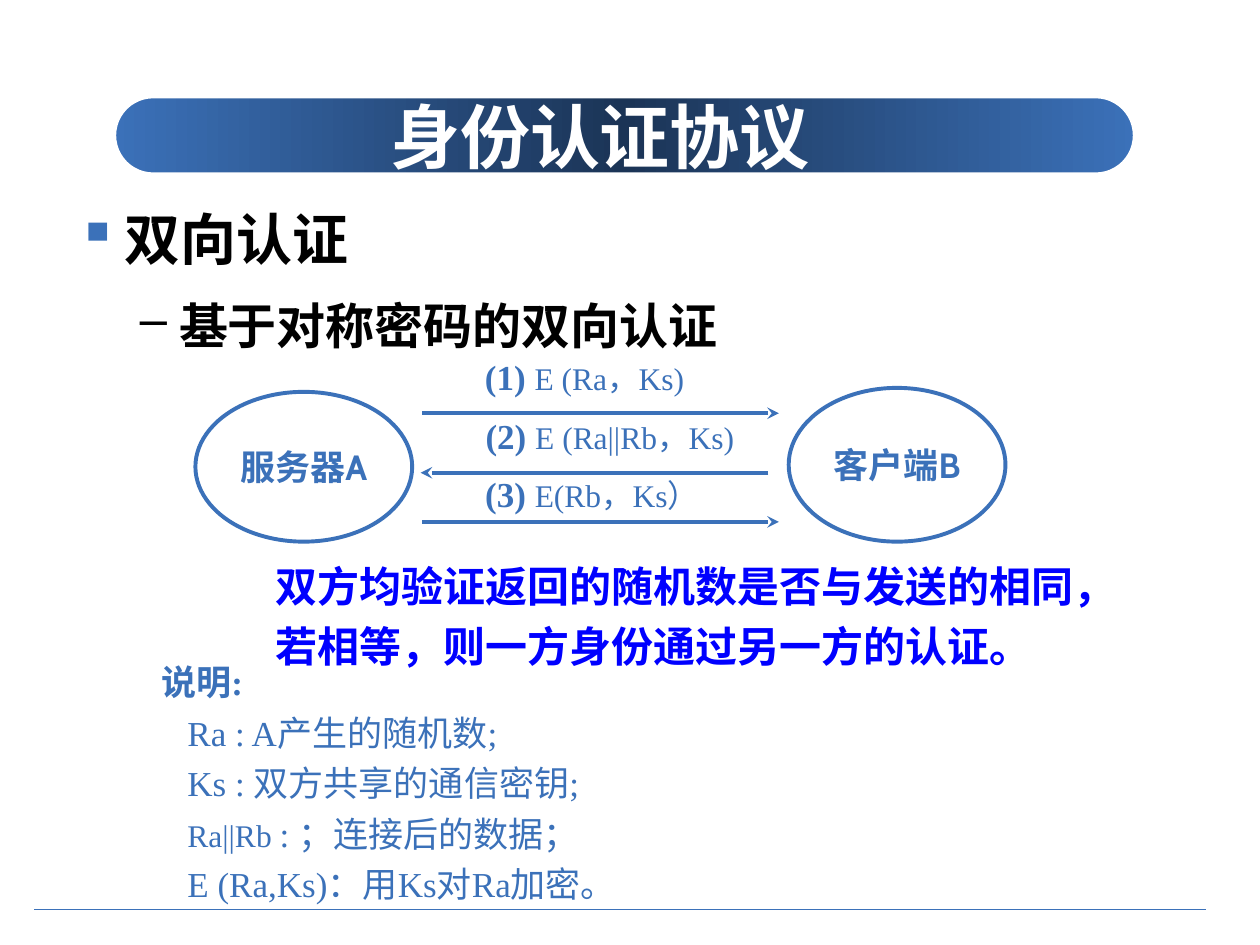
import pptx
import pptx.dml.color
import pptx.enum.shapes
import pptx.enum.text
import pptx.oxml
import pptx.oxml.ns
import pptx.util
import copy
from pptx.util import Cm

COLORS = {"blue": "3B71B9", "navy": "1B3456", "white": "FFFFFF",
          "black": "000000", "accent": "0000FF"}
SERIF = "Times New Roman"
ALIGN = pptx.enum.text.PP_ALIGN
ANCHOR = pptx.enum.text.MSO_ANCHOR
SHAPE = pptx.enum.shapes.MSO_SHAPE

TITLE = "身份认证协议"
OUTLINE = [
    {"text": "双向认证", "size": 32, "bullet": "▪", "color": "blue",
     "margin": 0.97, "hang": 0.97, "before": 0},
    {"text": "基于对称密码的双向认证", "size": 28, "bullet": "–", "color": "black",
     "margin": 2.06, "hang": 0.79, "before": 7},
]
PARTIES = [("服务器A", (3.94, 7.9, 4.37, 3.02)), ("客户端B", (15.9, 7.82, 4.37, 3.1))]
ARROWS = [(8.51, 15.7, 8.33), (15.49, 8.48, 9.53), (8.51, 15.7, 10.52)]
MESSAGES = [
    ("(1) ", "E (Ra，Ks)", (8.89, 7.14, 5.79, 1.02), ALIGN.CENTER),
    ("(2) ", "E (Ra||Rb，Ks)", (8.89, 8.33, 6.81, 1.02), ALIGN.CENTER),
    ("(3) ", "E(Rb，Ks）", (9.53, 9.5, 6.17, 1.02), ALIGN.LEFT),
]
CONCLUSION = "双方均验证返回的随机数是否与发送的相同，若相等，则一方身份通过另一方的认证。"
NOTES_HEADING = "说明:"
NOTES = [
    [("Ra : A产生的随机数;", 20)],
    [("Ks : 双方共享的通信密钥;", 20)],
    [("Ra||Rb ", 18), (": ；连接后的数据；", 20)],
    [("E (Ra,Ks)：用Ks对Ra加密。", 20)],
]


def rgb(name):
    return pptx.dml.color.RGBColor.from_string(COLORS[name])


def add_xml(parent, markup):
    space = pptx.oxml.ns.nsdecls("a")
    tag, rest = markup.split(" ", 1)
    parent.append(pptx.oxml.parse_xml(f"{tag} {space} {rest}"))


def set_font(font, size, color, name=SERIF, bold=True):
    font.size = pptx.util.Pt(size)
    font.name = name
    font.bold = bold
    font.color.rgb = rgb(color)


def add_text_box(page, place):
    frame = page.shapes.add_textbox(*map(Cm, place)).text_frame
    frame.word_wrap = True
    return frame


def add_span(para, text, size=None, bold=None):
    span = para.add_run()
    span.text = text
    if size:
        span.font.size = pptx.util.Pt(size)
    span.font.bold = bold


def add_line(page, start, end, width, arrow=False):
    line = page.shapes.add_connector(
        pptx.enum.shapes.MSO_CONNECTOR.STRAIGHT, *map(Cm, start + end))
    line.line.color.rgb = rgb("blue")
    line.line.width = pptx.util.Pt(width)
    if arrow:
        add_xml(line.line._get_or_add_ln(), '<a:tailEnd type="stealth"/>')
    add_xml(line.element.spPr, "<a:effectLst />")


def add_title(page):
    title = page.shapes.title
    title.left, title.top, title.width, title.height = map(Cm, (6.05, 1.93, 12.09, 1.6))
    frame = title.text_frame
    frame.text = TITLE
    frame.auto_size = pptx.enum.text.MSO_AUTO_SIZE.NONE
    frame.vertical_anchor = ANCHOR.MIDDLE
    para = frame.paragraphs[0]
    para.alignment = ALIGN.CENTER
    set_font(para.font, 40, "white")

    banner = page.shapes.add_shape(
        SHAPE.ROUNDED_RECTANGLE, *map(Cm, (2.29, 1.93, 20.6, 1.6)))
    banner.adjustments[0] = 0.5
    banner.shadow.inherit = False
    banner.line.color.rgb = rgb("white")
    banner.line.width = pptx.util.Pt(3)
    banner.fill.gradient()
    banner.fill.gradient_angle = 0
    stops = banner.element.spPr.find(".//" + pptx.oxml.ns.qn("a:gsLst"))
    stops.insert(1, copy.deepcopy(stops[0]))
    for stop, position, color in zip(
            banner.fill.gradient_stops, (0, 0.5, 1), ("blue", "navy", "blue")):
        stop.position = position
        stop.color.rgb = rgb(color)
    title.element.addprevious(banner.element)


def add_outline(page):
    frame = add_text_box(page, (1.3, 3.73, 22.86, 14.2))
    for index, item in enumerate(OUTLINE):
        para = frame.add_paragraph() if index else frame.paragraphs[0]
        para.text = item["text"]
        para.level = index
        props = para._p.get_or_add_pPr()
        props.set("marL", str(Cm(item["margin"])))
        props.set("indent", str(-Cm(item["hang"])))
        add_xml(props, f'<a:buClr ><a:srgbClr val="{COLORS[item["color"]]}"/></a:buClr>')
        add_xml(props, f'<a:buChar char="{item["bullet"]}"/>')
        para.line_spacing = 1.2
        para.space_before = pptx.util.Pt(item["before"])
        set_font(para.font, item["size"], "black")


def add_exchange(page):
    for name, place in PARTIES:
        party = page.shapes.add_shape(SHAPE.OVAL, *map(Cm, place))
        party.shadow.inherit = False
        party.fill.background()
        party.line.color.rgb = rgb("blue")
        party.line.width = pptx.util.Pt(2.25)
        frame = party.text_frame
        frame.word_wrap = False
        frame.vertical_anchor = ANCHOR.MIDDLE
        para = frame.paragraphs[0]
        para.text = name
        para.alignment = ALIGN.CENTER
        set_font(para.font, 20, "blue", "Cabin")
    for start, end, height in ARROWS:
        add_line(page, (start, height), (end, height), 2.25, arrow=True)
    for number, message, place, alignment in MESSAGES:
        para = add_text_box(page, place).paragraphs[0]
        para.alignment = alignment
        para.line_spacing = 0.9
        set_font(para.font, 20, "blue", bold=None)
        add_span(para, number, bold=True)
        add_span(para, message, 18, False)


def add_explanation(page):
    para = add_text_box(page, (5.31, 10.97, 18.01, 2.69)).paragraphs[0]
    para.text = CONCLUSION
    para.line_spacing = 1.2
    set_font(para.font, 24, "accent", "Noto Sans CJK SC")

    frame = add_text_box(page, (3, 13.03, 18.01, 5.33))
    heading = frame.paragraphs[0]
    heading.text = NOTES_HEADING
    heading.line_spacing = 1.2
    set_font(heading.font, 20, "blue")
    for note in NOTES:
        para = frame.add_paragraph()
        para._p.get_or_add_pPr().set("marL", str(Cm(0.53)))
        para.line_spacing = 1.2
        set_font(para.font, 20, "blue", bold=False)
        for text, size in note:
            add_span(para, text, size)


def main():
    """Build the mutual authentication slide."""
    deck = pptx.Presentation()
    deck.slide_width, deck.slide_height = Cm(25.4), Cm(19.05)
    page = deck.slides.add_slide(deck.slide_layouts[5])
    add_title(page)
    add_line(page, (0.69, 18.34), (24.31, 18.34), 0.75)
    add_outline(page)
    add_explanation(page)
    add_exchange(page)
    deck.save("out.pptx")


if __name__ == "__main__":
    main()
